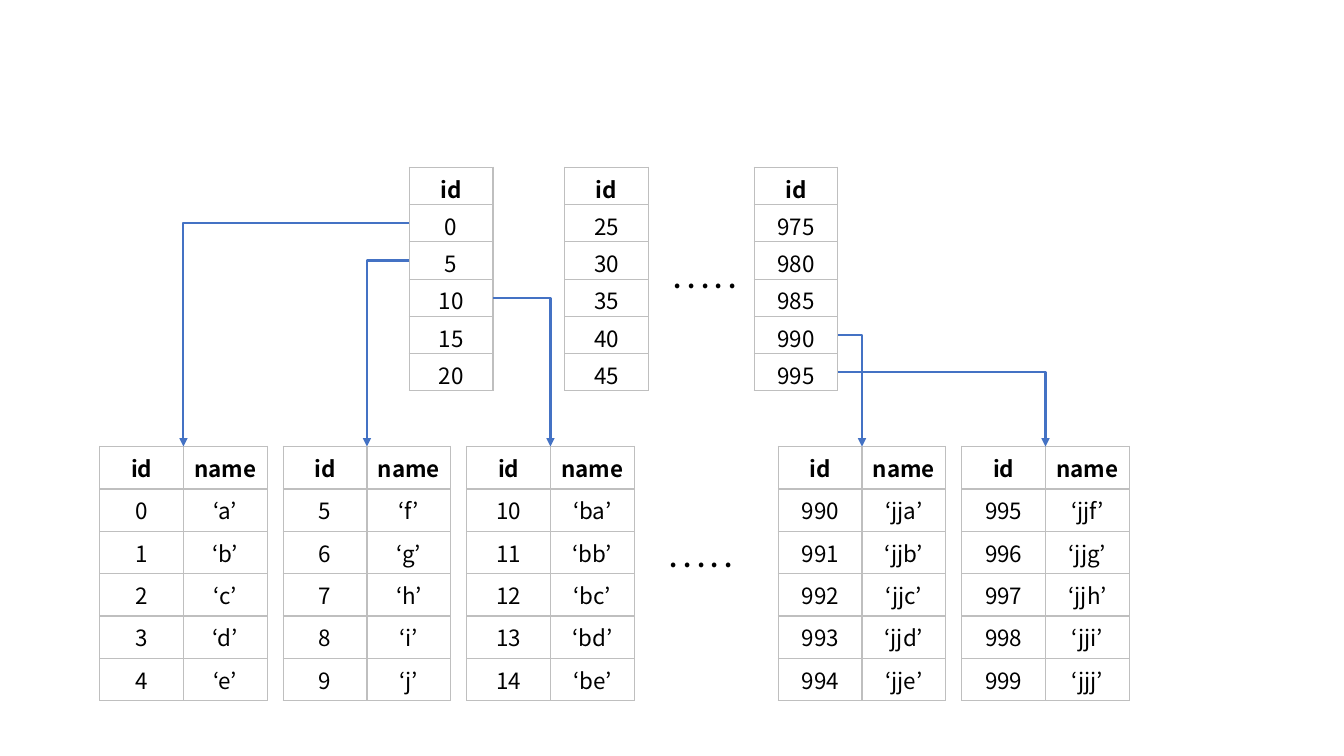
from lxml.etree import SubElement
from pptx import Presentation
from pptx.dml.color import RGBColor
from pptx.enum.shapes import MSO_CONNECTOR
from pptx.enum.text import MSO_ANCHOR, PP_ALIGN
from pptx.oxml.ns import qn
from pptx.util import Inches, Pt

FONT = "Noto Sans CJK KR"
BLACK, GRID_LINE, ARROW = "000000", "BFBFBF", "4472C4"

COLUMN = 0.83                        # width of every table column
INDEX_TOP, INDEX_ROW = 1.66, 0.37
DATA_TOP, DATA_ROW = 4.43, 0.42
DATA_LEFT, DATA_PITCH = 0.99, 1.82
LAST_DATA_LEFT = 7.72
PAGE_SIZE = 5                        # records in each table

# Left edge and first id of each table
INDEX_TABLES = [(4.06, 0), (5.6, 25), (7.48, 975)]
DATA_TABLES = [(DATA_LEFT + i * DATA_PITCH, i * PAGE_SIZE) for i in range(3)]
DATA_TABLES += [(LAST_DATA_LEFT + i * DATA_PITCH, 990 + i * PAGE_SIZE) for i in range(2)]


def color(value):
    return RGBColor.from_string(value)


def write(frame, text, size=16, bold=False, ink=BLACK):
    para = frame.paragraphs[0]
    para.alignment = PP_ALIGN.CENTER
    span = para.add_run()
    span.text = text
    span.font.name = FONT
    span.font.size = Pt(size)
    span.font.bold = bold
    span.font.color.rgb = color(ink)
    SubElement(span.font._element, qn("a:ea"), typeface=FONT)


def add_border(cell):
    properties = cell._tc.get_or_add_tcPr()
    for side in ("lnL", "lnR", "lnT", "lnB"):
        line = SubElement(properties, qn(f"a:{side}"), w=str(Pt(1)))
        fill = SubElement(line, qn("a:solidFill"))
        SubElement(fill, qn("a:srgbClr"), val=GRID_LINE)


def add_grid(page, left, top, row_height, rows, tight=False):
    count = len(rows[0])
    table = page.shapes.add_table(
        len(rows), count, Inches(left), Inches(top),
        Inches(count * COLUMN), Inches(len(rows) * row_height)).table
    table.first_row = table.horz_banding = False
    for column in table.columns:
        column.width = Inches(COLUMN)
    for r, texts in enumerate(rows):
        table.rows[r].height = Inches(row_height)
        for c, text in enumerate(texts):
            cell = table.cell(r, c)
            add_border(cell)
            cell.fill.background()
            if tight:
                cell.margin_top, cell.margin_bottom = Inches(0.04), 0
                cell.vertical_anchor = MSO_ANCHOR.BOTTOM
            write(cell.text_frame, text, bold=r == 0)


def add_dots(page, left, top):
    box = page.shapes.add_textbox(Inches(left), Inches(top), Inches(1.33), Inches(0.4))
    box.text_frame.word_wrap = True
    write(box.text_frame, ". . . . .", size=18, bold=True)


def add_arrow(page, start, end):
    """Run sideways from start, then straight down to end."""
    arrow = page.shapes.add_connector(
        MSO_CONNECTOR.ELBOW, *(Inches(value) for value in (*start, *end)))
    arrow.line.color.rgb = color(ARROW)
    arrow.line.width = Pt(1.5)
    properties = arrow._element.spPr
    properties.find(qn("a:prstGeom")).set("prst", "bentConnector2")
    SubElement(properties.find(qn("a:ln")), qn("a:tailEnd"), type="triangle")
    SubElement(properties, qn("a:effectLst"))


def name_of(number):
    """Spell a number with a to j for the digits 0 to 9."""
    letters = "".join("abcdefghij"[int(digit)] for digit in str(number))
    return f"‘{letters}’"


def main():
    deck = Presentation()
    deck.slide_width, deck.slide_height = Inches(13.33), Inches(7.5)
    page = deck.slides.add_slide(deck.slide_layouts[6])

    # Data tables
    for left, first in DATA_TABLES:
        records = [(str(n), name_of(n)) for n in range(first, first + PAGE_SIZE)]
        add_grid(page, left, DATA_TOP, DATA_ROW, [("id", "name")] + records)
    add_dots(page, 6.29, 5.33)

    # Index tables: every fifth id
    for left, first in INDEX_TABLES:
        keys = [(str(first + i * PAGE_SIZE),) for i in range(PAGE_SIZE)]
        add_grid(page, left, INDEX_TOP, INDEX_ROW, [("id",)] + keys, tight=True)
    add_dots(page, 6.33, 2.56)

    # Arrows from each index row to the data table it points at
    for data_left, key in DATA_TABLES:
        index_left, first = max(t for t in INDEX_TABLES if t[1] <= key)
        row = 1 + (key - first) // PAGE_SIZE
        target = data_left + COLUMN
        start = index_left + (COLUMN if target > index_left else 0)
        add_arrow(page, (start, INDEX_TOP + (row + 0.5) * INDEX_ROW), (target, DATA_TOP))

    deck.save("out.pptx")


main()
